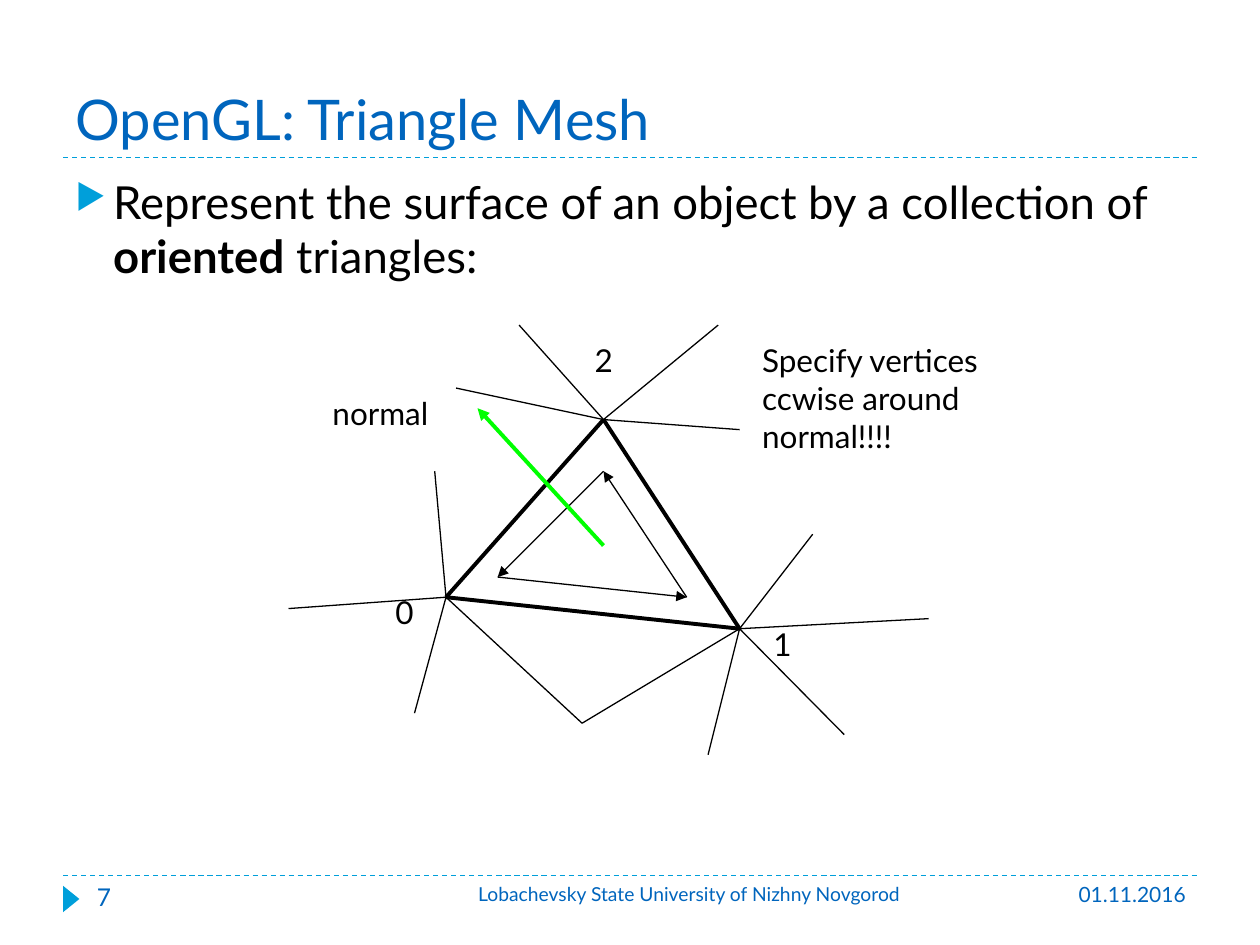
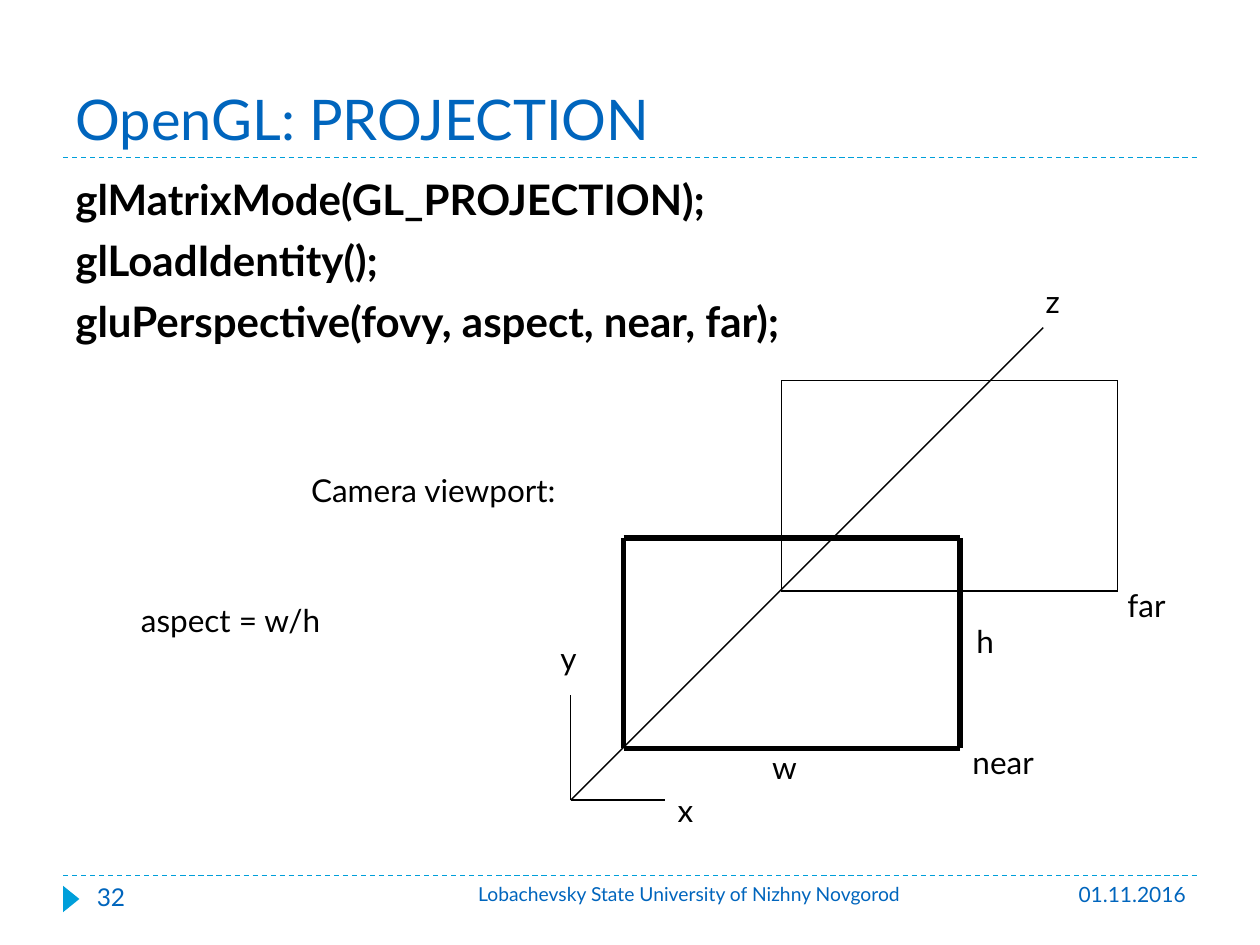
import pptx
import pptx.dml.color
import pptx.enum.dml
import pptx.enum.shapes
import pptx.enum.text
import pptx.oxml.ns
import pptx.oxml.xmlchemy
import pptx.util

ALIGN = pptx.enum.text.PP_ALIGN
ANCHOR = pptx.enum.text.MSO_ANCHOR

FONT = "Lato"
BLUE, SKY, BLACK, GREEN = "0065BD", "009FDA", "000000", "00FF00"
THIN, MEDIUM, THICK = 0.75, 2.25, 3
WIDTH, HEIGHT, MARGIN = 10, 7.5, 0.5
CONTENT_WIDTH = WIDTH - 2 * MARGIN
TITLE_RULE, FOOTER_RULE = 1.25, 6.95
LABEL_HEIGHT, LABEL_LINE = 0.5, 0.4

UNIVERSITY = "Lobachevsky State University of Nizhny Novgorod"
DATE = "01.11.2016"

# Paragraphs are lists of (text, bold) runs.
MESH = {
    "title": "OpenGL: Triangle Mesh",
    "number": "7",
    "body": [[("Represent the surface of an object by a collection of ", False),
              ("oriented", True), (" triangles:", False)]],
    "body_size": 26,
    "bullets": True,
    # text lines, left, top, width
    "labels": [
        (["Specify vertices", "ccwise around", "normal!!!!"], 5.95, 2.66, 2.48),
        (["0"], 3.04, 4.66, 0.38),
        (["1"], 6.04, 4.91, 0.38),
        (["2"], 4.62, 2.66, 0.38),
        (["normal"], 2.54, 3.08, 1.22),
    ],
}
PROJECTION = {
    "title": "OpenGL: PROJECTION",
    "number": "32",
    "body": [[("glMatrixMode(GL_PROJECTION);", True)],
             [("glLoadIdentity();", True)],
             [("gluPerspective(fovy, aspect, near, far);", True)]],
    "body_size": 24,
    "bullets": False,
    "labels": [
        (["Camera viewport:"], 2.37, 3.69, 2.81),
        (["aspect = w/h"], 1.02, 4.72, 2.16),
        (["x"], 5.28, 6.23, 0.37),
        (["y"], 4.35, 5.02, 0.37),
        (["z"], 8.2, 2.19, 0.35),
        (["near"], 7.62, 5.85, 0.86),
        (["far"], 8.85, 4.6, 0.6),
        (["h"], 7.65, 4.89, 0.39),
        (["w"], 6.03, 5.89, 0.45),
    ],
}

# Triangle mesh: vertices in counterclockwise order
VERTICES = [(3.54, 4.74), (5.87, 4.99), (4.79, 3.33)]
INNER_LOOP = [(3.95, 4.58), (5.45, 4.74), (4.79, 3.74)]
NORMAL = (4.79, 4.33), (3.79, 3.24)
SHARED_NEIGHBOUR = (4.62, 5.74)
NEIGHBOURS = [
    [(3.45, 3.74), (2.29, 4.83), (3.29, 5.66), SHARED_NEIGHBOUR],
    [(6.45, 4.24), SHARED_NEIGHBOUR, (5.62, 5.99), (7.37, 4.91), (6.7, 5.83)],
    [(5.87, 3.41), (5.7, 2.58), (4.12, 2.58), (3.62, 3.08)],
]

# Viewing volume: equal near and far planes along the z axis
ORIGIN = (4.53, 6.35)
AXIS_ENDS = [(5.28, 6.35), (4.53, 5.52), (8.28, 2.6)]
PLANE_WIDTH, PLANE_HEIGHT = 2.67, 1.67
PLANES = [((4.95, 4.27), THICK), ((6.2, 3.02), THIN)]


def color(value):
    return pptx.dml.color.RGBColor.from_string(value)


def inches(*values):
    return [pptx.util.Inches(value) for value in values]


def make_element(tag, **attributes):
    element = pptx.oxml.xmlchemy.OxmlElement(tag)
    for name, value in attributes.items():
        element.set(name, value)
    return element


def add_line(slide, start, end, weight=THIN, line_color=BLACK, arrow=False, dashed=False):
    line = slide.shapes.add_connector(
        pptx.enum.shapes.MSO_CONNECTOR.STRAIGHT, *inches(*start, *end))
    line.line.color.rgb = color(line_color)
    line.line.width = pptx.util.Pt(weight)
    if dashed:
        line.line.dash_style = pptx.enum.dml.MSO_LINE.DASH
    properties = line._element.spPr
    if arrow:
        outline = properties.find(pptx.oxml.ns.qn("a:ln"))
        outline.append(make_element("a:tailEnd", type="triangle"))
    properties.append(make_element("a:effectLst"))


def add_loop(slide, points, **style):
    """Draw a closed outline, one line per side."""
    for start, end in zip(points, points[1:] + points[:1]):
        add_line(slide, start, end, **style)


def add_text(slide, paragraphs, box, size, text_color=BLACK, align=ALIGN.LEFT,
             anchor=ANCHOR.TOP):
    """Add a text box from lists of (text, bold) runs; return its paragraphs."""
    frame = slide.shapes.add_textbox(*inches(*box)).text_frame
    frame.word_wrap = True
    frame.vertical_anchor = anchor
    for index, runs in enumerate(paragraphs):
        paragraph = frame.paragraphs[0] if index == 0 else frame.add_paragraph()
        paragraph.alignment = align
        paragraph.font.name = FONT
        paragraph.font.size = pptx.util.Pt(size)
        paragraph.font.color.rgb = color(text_color)
        for text, bold in runs:
            run = paragraph.add_run()
            run.text = text
            run.font.bold = bold
    return frame.paragraphs


def add_bullet(paragraph):
    properties = paragraph._p.get_or_add_pPr()
    indent = pptx.util.Inches(0.3)
    properties.set("marL", str(indent))
    properties.set("indent", str(-indent))
    bullet_color = make_element("a:buClr")
    bullet_color.append(make_element("a:srgbClr", val=SKY))
    bullet_size = make_element("a:buSzPct", val="76000")
    bullet = make_element("a:buChar", char="▶")
    # Bullet settings stand between the spacing and the default run properties.
    defaults = properties.find(pptx.oxml.ns.qn("a:defRPr"))
    for element in (bullet_color, bullet_size, bullet):
        defaults.addprevious(element)


def add_frame(slide, content):
    """Add what both slides share: rules, title, body and footer."""
    for height in (FOOTER_RULE, TITLE_RULE):
        add_line(slide, (MARGIN, height), (WIDTH - MARGIN, height),
                 line_color=SKY, dashed=True)
    marker = slide.shapes.add_shape(
        pptx.enum.shapes.MSO_SHAPE.ISOSCELES_TRIANGLE, *inches(0.46, 7.07, 0.21, 0.13))
    marker.rotation = 90
    marker.shadow.inherit = False
    marker.fill.solid()
    marker.fill.fore_color.rgb = color(SKY)
    marker.line.fill.background()

    add_text(slide, [[(content["title"], False)]],
             (MARGIN, 0.17, CONTENT_WIDTH, TITLE_RULE - 0.17), 32, BLUE,
             anchor=ANCHOR.BOTTOM)
    body = add_text(slide, content["body"], (MARGIN, 1.33, CONTENT_WIDTH, 5.37),
                    content["body_size"])
    for paragraph in body:
        paragraph.space_before = pptx.util.Pt(6)
        if content["bullets"]:
            add_bullet(paragraph)

    footer = [
        (DATE, 8.44, 1.07, 12, ALIGN.RIGHT),
        (content["number"], 0.67, 2.17, 14, ALIGN.LEFT),
        (UNIVERSITY, 3.44, 4.06, 11, ALIGN.CENTER),
    ]
    for text, left, width, size, align in footer:
        add_text(slide, [[(text, False)]], (left, FOOTER_RULE, width, 0.4), size, BLUE, align)


def add_labels(slide, labels):
    for lines, left, top, width in labels:
        height = LABEL_HEIGHT + LABEL_LINE * (len(lines) - 1)
        add_text(slide, [[(line, False)] for line in lines], (left, top, width, height), 18)


def draw_mesh(slide):
    add_loop(slide, VERTICES, weight=MEDIUM)
    add_loop(slide, INNER_LOOP, arrow=True)
    add_line(slide, *NORMAL, weight=MEDIUM, line_color=GREEN, arrow=True)
    for vertex, neighbours in zip(VERTICES, NEIGHBOURS):
        for neighbour in neighbours:
            add_line(slide, vertex, neighbour)


def draw_projection(slide):
    for (left, top), weight in PLANES:
        right, bottom = left + PLANE_WIDTH, top + PLANE_HEIGHT
        add_loop(slide, [(left, top), (right, top), (right, bottom), (left, bottom)],
                 weight=weight)
    for end in AXIS_ENDS:
        add_line(slide, ORIGIN, end)


def main():
    presentation = pptx.Presentation()
    presentation.slide_width, presentation.slide_height = inches(WIDTH, HEIGHT)
    for content, draw in ((MESH, draw_mesh), (PROJECTION, draw_projection)):
        slide = presentation.slides.add_slide(presentation.slide_layouts[6])
        add_frame(slide, content)
        draw(slide)
        add_labels(slide, content["labels"])
    presentation.save("out.pptx")


if __name__ == "__main__":
    main()
